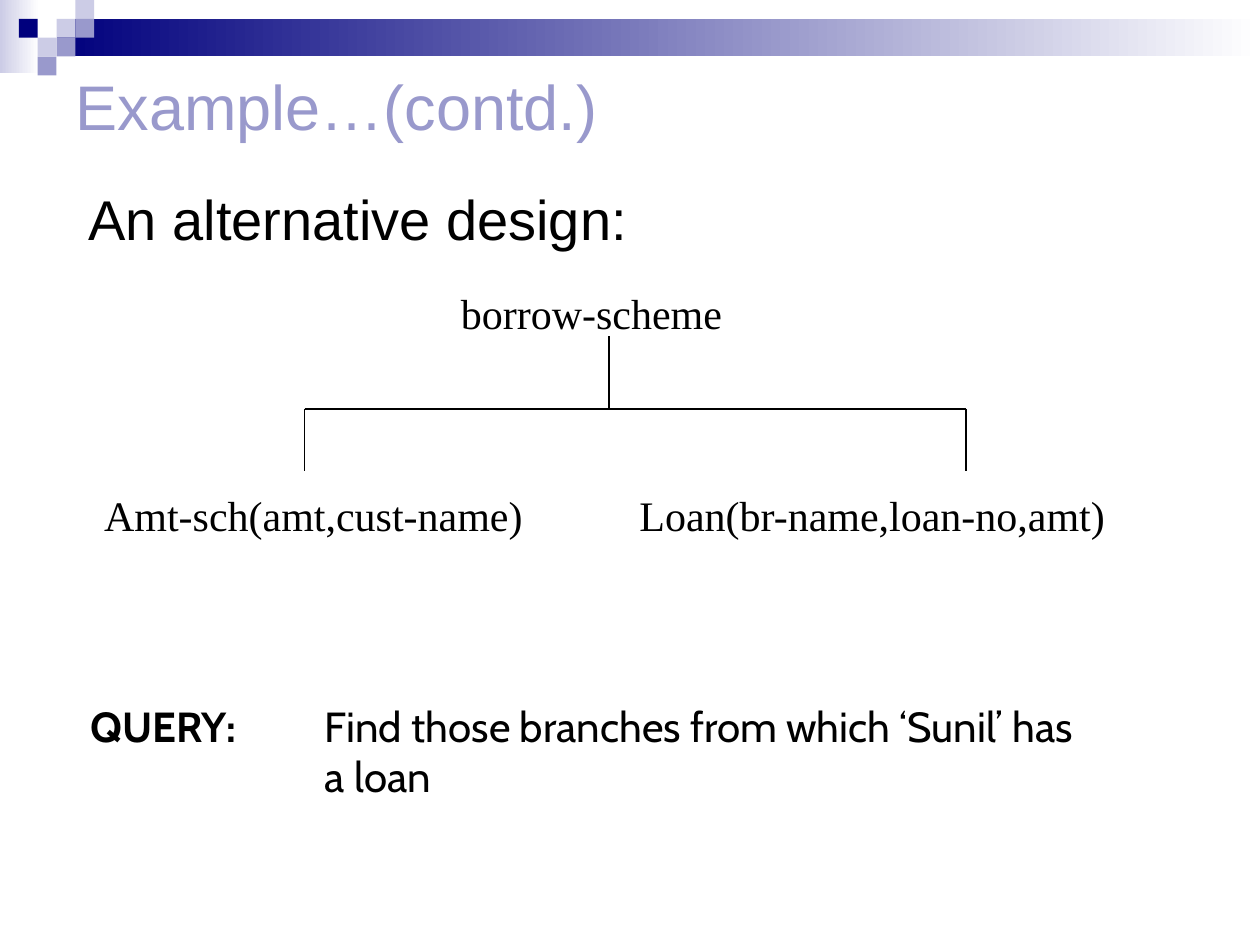
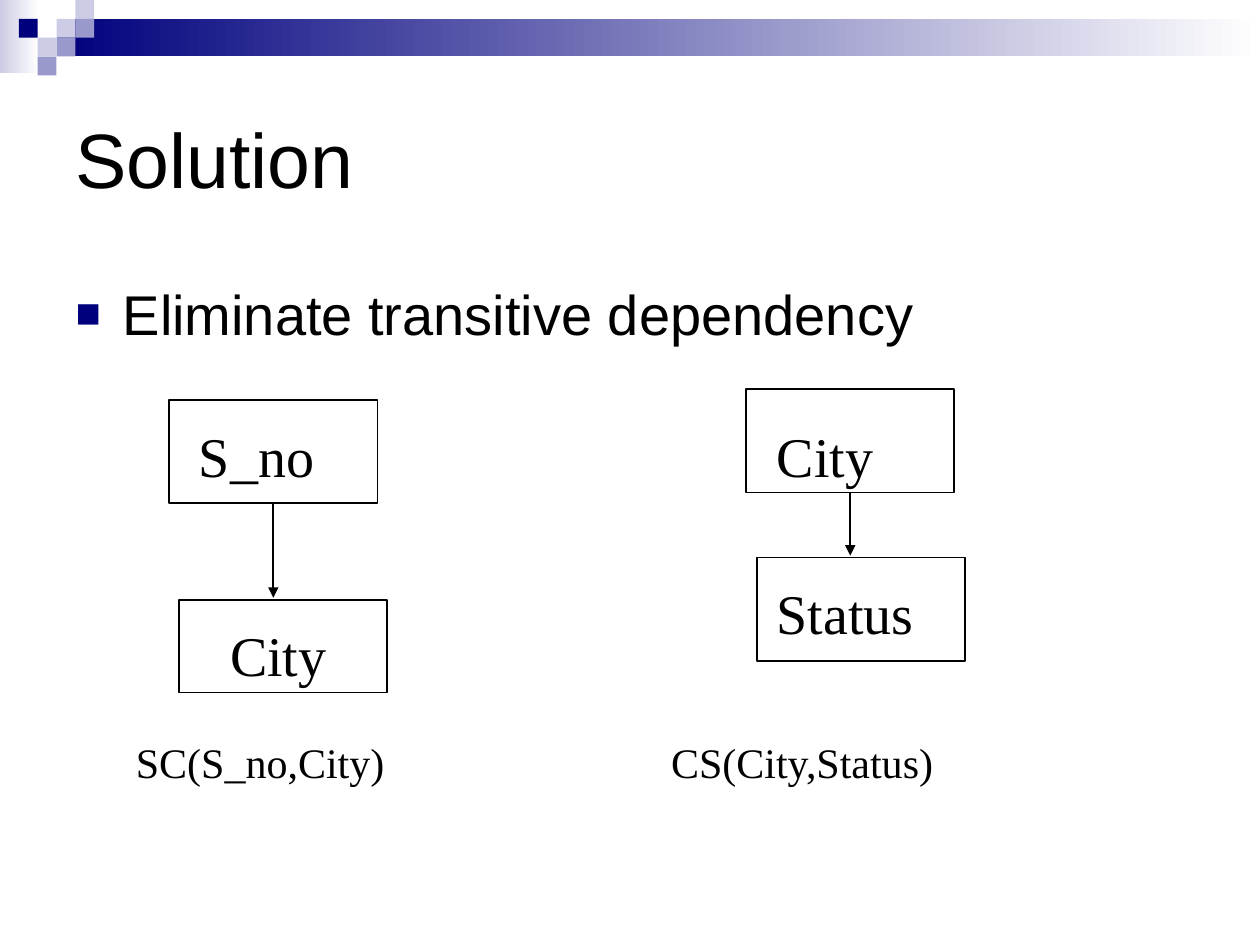
"""Build two slides on schema design: an alternative split and its solution."""
from lxml import etree
from pptx import Presentation
from pptx.dml.color import RGBColor
from pptx.enum.shapes import MSO_CONNECTOR, MSO_SHAPE
from pptx.enum.text import MSO_ANCHOR, MSO_AUTO_SIZE, PP_ALIGN
from pptx.oxml.ns import qn
from pptx.util import Cm, Pt

RECT, LINE = MSO_SHAPE.RECTANGLE, MSO_CONNECTOR.STRAIGHT
LEFT, TOP, MIDDLE = PP_ALIGN.LEFT, MSO_ANCHOR.TOP, MSO_ANCHOR.MIDDLE
FIXED, GROW = MSO_AUTO_SIZE.NONE, MSO_AUTO_SIZE.SHAPE_TO_FIT_TEXT
BLACK = RGBColor(0, 0, 0)
WHITE = RGBColor(255, 255, 255)
NAVY = RGBColor(0, 0, 125)
LILAC = RGBColor(153, 153, 204)
PALE = RGBColor(204, 204, 230)

SANS, SERIF, QUERY = "Arial", "Times New Roman", "Cabin"
CELL = 0.38
FADES = [((0, 0, 0.79, 1.47), PALE), ((3 * CELL, CELL, 24.26, 2 * CELL), NAVY)]
TILES = [(3, 1, PALE), (4, 0, PALE), (4, 1, LILAC), (2, 2, PALE),
         (1, 1, NAVY), (3, 2, LILAC), (2, 3, LILAC)]

DESIGN = {
    "title": ("Example…(contd.)", (1.27, 1.49, 18.85, 1.27), 36, LILAC),
    "body": ("An alternative design:", (1.27, 3.59, 22.86, 9.53), ""),
    "labels": [
        ("borrow-scheme", 9.04, 5.68, 5.8, 24, SERIF, False),
        ("Amt-sch(amt,cust-name)", 1.85, 9.75, 8.96, 24, SERIF, False),
        ("Loan(br-name,loan-no,amt)", 12.64, 9.75, 9.93, 24, SERIF, False),
        ("QUERY:", 1.57, 14, 3.65, 24, QUERY, False),
        ("Find those branches from which ‘Sunil’ has\na loan",
         6.3, 13.99, 18.26, 24, QUERY, True)],
    "tree": {"stem": 12.27, "ends": (6.14, 19.47), "rows": (6.78, 8.24, 9.5)},
    "pairs": [],
}
ANSWER = {
    "title": ("Solution", (1.27, 1.27, 22.86, 3.81), 44, BLACK),
    "body": ("Eliminate transitive dependency", (1.27, 5.51, 22.86, 10.8), "■"),
    "labels": [
        ("S_no", 3.76, 8.38, 2.9, 32, SERIF, False),
        ("City", 4.39, 12.38, 3.45, 32, SERIF, True),
        ("City", 15.41, 8.38, 2.55, 32, SERIF, False),
        ("Status", 15.41, 11.54, 3.32, 32, SERIF, False),
        ("SC(S_no,City)", 2.49, 14.73, 5.53, 24, SERIF, False),
        ("CS(City,Status)", 13.28, 14.73, 5.86, 24, SERIF, False)],
    "tree": None,
    "pairs": [((3.41, 8.06, 4.2, 2.08), (3.61, 12.09, 4.2, 1.87)),
              ((15.04, 7.85, 4.2, 2.08), (15.26, 11.24, 4.2, 2.08))],
}


def apply(item, form):
    for name, value in form.items():
        setattr(item, name, value)


def place(shape, area):
    sides = ("left", "top", "width", "height")
    apply(shape, dict(zip(sides, map(Cm, area))))


def write(shape, text, size, font, color=BLACK, bold=False, **frame):
    body = shape.text_frame
    body.text = text
    apply(body, frame)
    for para in body.paragraphs:
        apply(para, {"alignment": LEFT, "space_before": Pt(0)})
        apply(para.runs[0].font, {"size": Pt(size), "name": font, "bold": bold})
        para.runs[0].font.color.rgb = color


def block(slide, area):
    shape = slide.shapes.add_shape(RECT, *map(Cm, area))
    shape.shadow.inherit = False
    return shape


def band(slide):
    for area, color in FADES:
        shape = block(slide, area)
        shape.line.fill.background()
        shape.fill.gradient()
        shape.fill.gradient_angle = 180
        for stop, tint in zip(shape.fill.gradient_stops, (WHITE, color)):
            stop.color.rgb = tint
    for col, row, color in TILES:
        shape = block(slide, (col * CELL, row * CELL, CELL, CELL))
        shape.line.fill.background()
        shape.fill.solid()
        shape.fill.fore_color.rgb = color


def bullet(para, mark):
    props = para._p.get_or_add_pPr()
    margin, hang = (0.95, -0.95) if mark else (0.26, 0)
    props.set("marL", str(Cm(margin)))
    props.set("indent", str(Cm(hang)))
    if not mark:
        etree.SubElement(props, qn("a:buNone"))
        return
    tint = etree.SubElement(props, qn("a:buClr"))
    etree.SubElement(tint, qn("a:srgbClr"), val=str(NAVY))
    etree.SubElement(props, qn("a:buSzPct"), val="75000")
    etree.SubElement(props, qn("a:buFont"), typeface=SANS)
    etree.SubElement(props, qn("a:buChar"), char=mark)


def link(slide, *ends):
    line = slide.shapes.add_connector(LINE, *ends)
    line.line.color.rgb = BLACK
    line.line.width = Pt(1)
    etree.SubElement(line._element.spPr, qn("a:effectLst"))
    return line


def branch(slide, tree):
    top, mid, low = map(Cm, tree["rows"])
    stem = Cm(tree["stem"])
    left, right = map(Cm, tree["ends"])
    link(slide, stem, top, stem, mid)
    link(slide, left, mid, right, mid)
    for end in (left, right):
        link(slide, end, mid, end, low)


def chain(slide, pair):
    upper, lower = [block(slide, area) for area in pair]
    for box in (upper, lower):
        box.fill.background()
        box.line.color.rgb = BLACK
        box.line.width = Pt(1)
    x = upper.left + upper.width // 2
    arrow = link(slide, x, upper.top + upper.height, x, lower.top - Cm(0.04))
    arrow.begin_connect(upper, 2)
    etree.SubElement(arrow.line._get_or_add_ln(), qn("a:tailEnd"), type="triangle")


def label(slide, text, x, y, width, size, font, wrap):
    lines = text.count("\n") + 1
    height = Pt(1.2 * size * lines) + Cm(0.25)
    box = slide.shapes.add_textbox(Cm(x), Cm(y), Cm(width), height)
    write(box, text, size, font, bold=text == "QUERY:",
          word_wrap=wrap, auto_size=GROW)


def build(deck, data):
    slide = deck.slides.add_slide(deck.slide_layouts[1])
    band(slide)
    head, body = slide.placeholders
    text, area, size, color = data["title"]
    place(head, area)
    write(head, text, size, SANS, color, vertical_anchor=MIDDLE, auto_size=FIXED)
    text, area, mark = data["body"]
    place(body, area)
    write(body, text, 32, SANS, vertical_anchor=TOP, auto_size=FIXED)
    bullet(body.text_frame.paragraphs[0], mark)
    if data["tree"]:
        branch(slide, data["tree"])
    for pair in data["pairs"]:
        chain(slide, pair)
    for item in data["labels"]:
        label(slide, *item)


def main():
    deck = Presentation()
    deck.slide_width, deck.slide_height = Cm(25.4), Cm(19.05)
    for data in (DESIGN, ANSWER):
        build(deck, data)
    deck.save("out.pptx")


if __name__ == "__main__":
    main()
